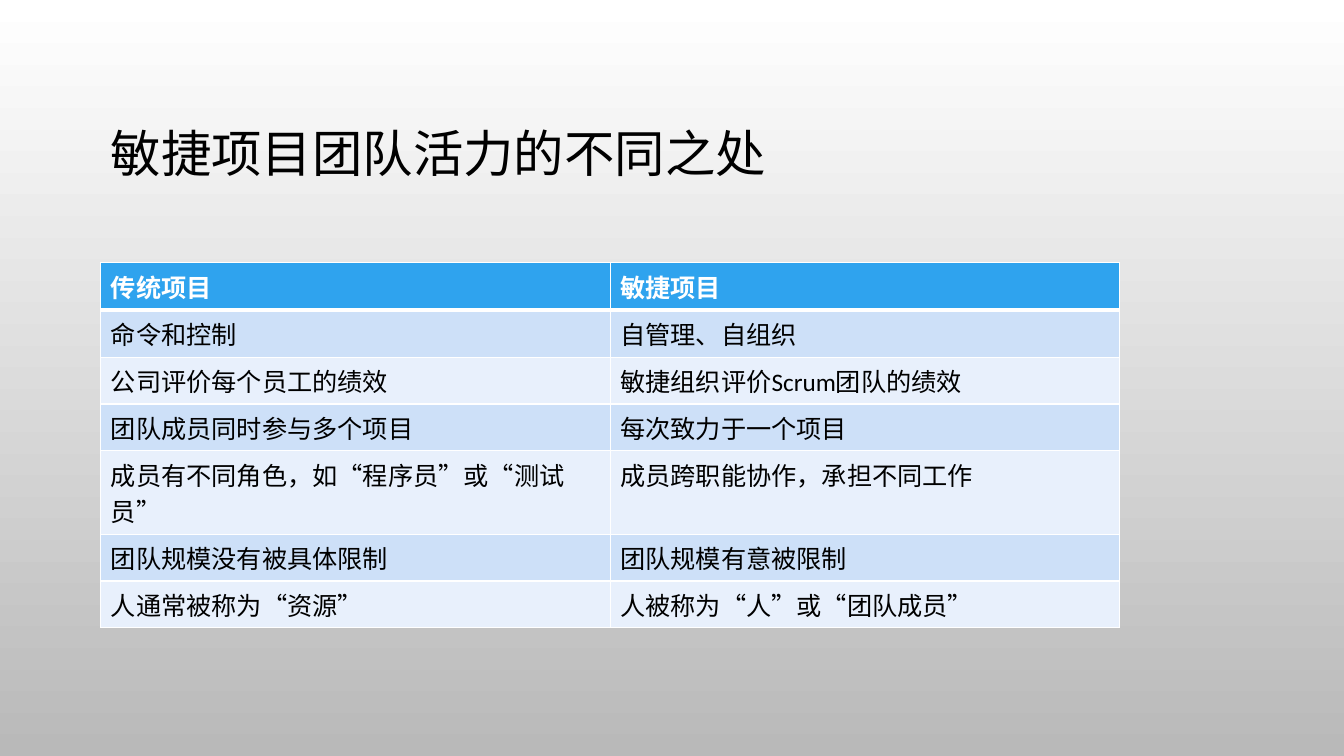
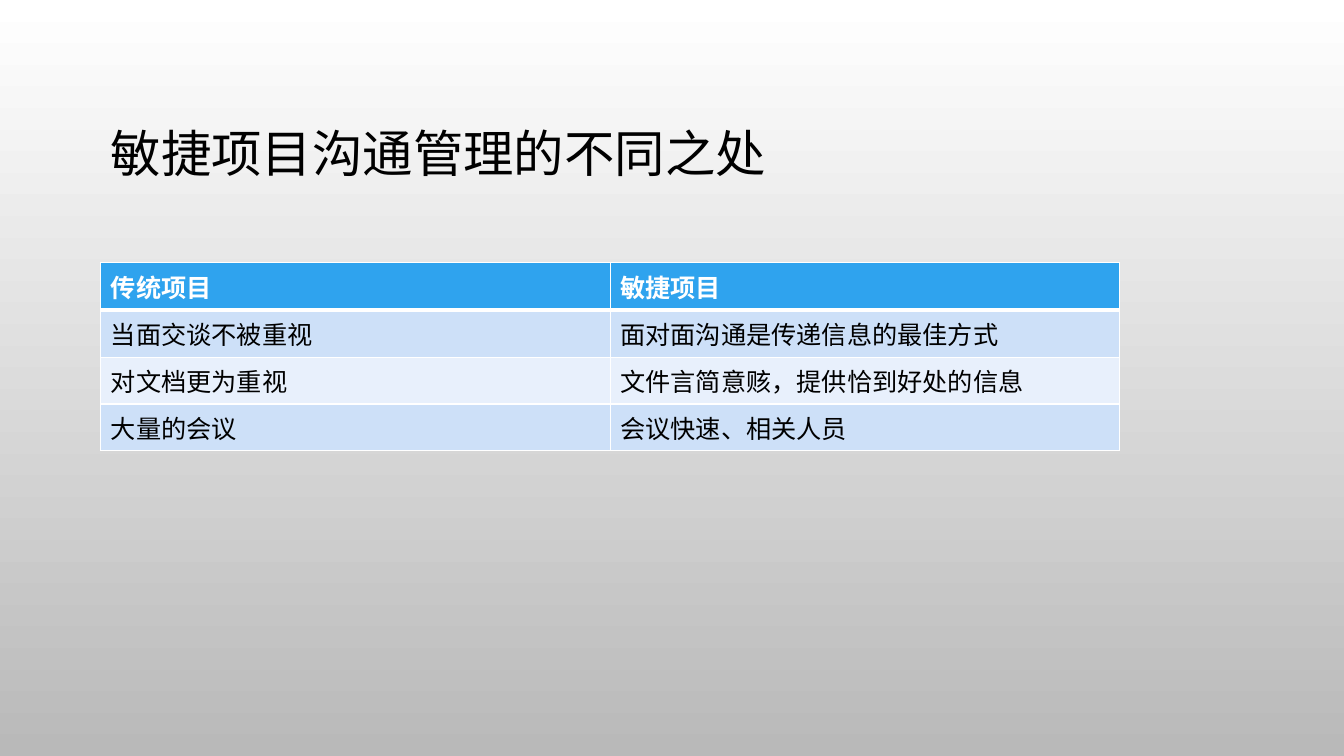
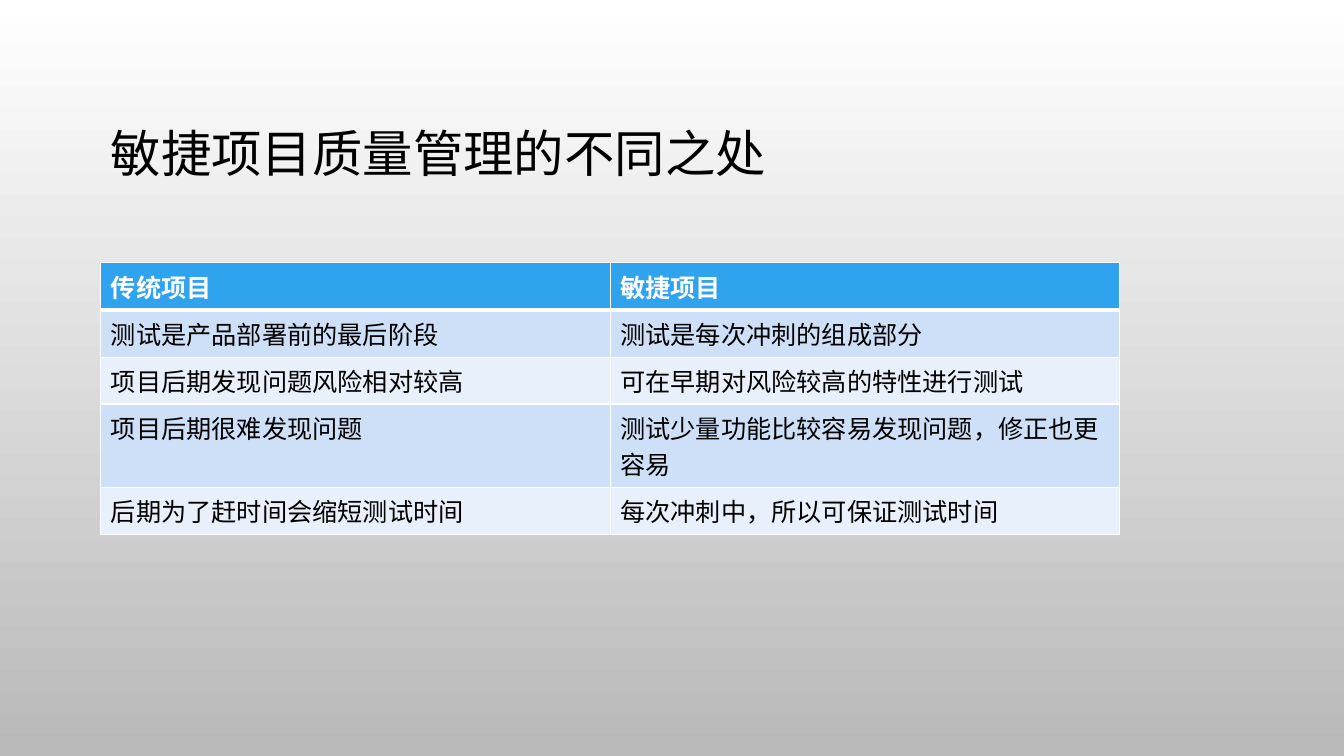
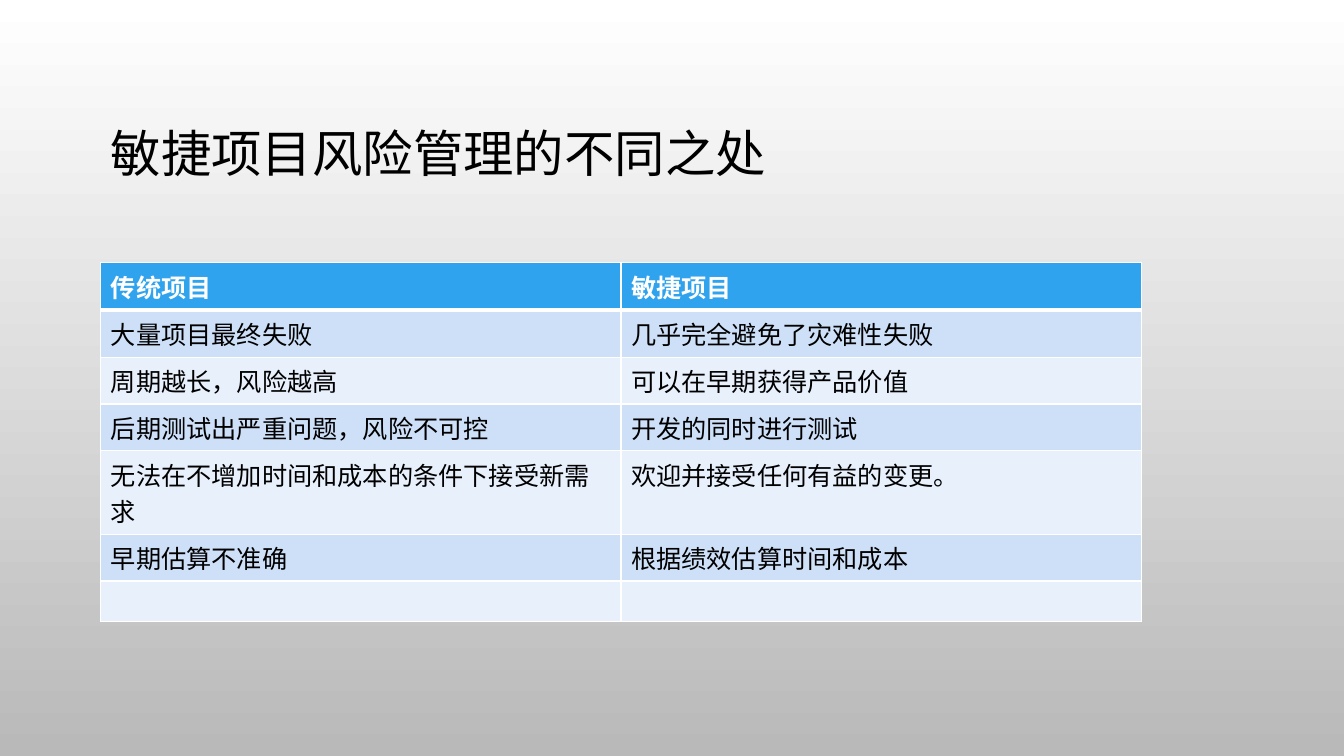
from dataclasses import dataclass

from lxml import etree
from pptx import Presentation
from pptx.dml.color import RGBColor
from pptx.enum.lang import MSO_LANGUAGE_ID
from pptx.enum.text import MSO_ANCHOR
from pptx.oxml.ns import qn
from pptx.util import Cm, Pt

MIDDLE = MSO_ANCHOR.MIDDLE
CHINESE = MSO_LANGUAGE_ID.SIMPLIFIED_CHINESE
BLANK_LAYOUT = 6


@dataclass(frozen=True)
class Theme:
    font: str = "Calibri"
    title_size: int = 36
    table_size: int = 18
    text: str = "000000"
    header_text: str = "FFFFFF"
    header_fill: str = "2FA3EE"
    row_fills: tuple = ("CDE0F8", "E8F0FC")
    border: str = "FFFFFF"
    background: tuple = ("FFFFFF", "B9B9B9")
    thin: int = 1
    thick: int = 3


THEME = Theme()


def write_text(frame, text, size, color=THEME.text, bold=False, spacing=None):
    para = frame.paragraphs[0]
    para.line_spacing = spacing
    span = para.add_run()
    span.text = text
    span.font.name = THEME.font
    span.font.size = Pt(size)
    span.font.bold = bold
    span.font.color.rgb = RGBColor.from_string(color)
    span.font.language_id = CHINESE


def draw_borders(cell, top, bottom):
    properties = cell._tc.get_or_add_tcPr()
    widths = {"L": THEME.thin, "R": THEME.thin, "T": top, "B": bottom}
    for side, width in widths.items():
        line = etree.SubElement(properties, qn(f"a:ln{side}"), w=str(Pt(width)))
        fill = etree.SubElement(line, qn("a:solidFill"))
        etree.SubElement(fill, qn("a:srgbClr"), val=THEME.border)


# Content: title, column width in cm, table rows
HEADER = ("传统项目", "敏捷项目")
SLIDES = [
    ("敏捷项目团队活力的不同之处", 12.84, [
        ("命令和控制", "自管理、自组织"),
        ("公司评价每个员工的绩效", "敏捷组织评价Scrum团队的绩效"),
        ("团队成员同时参与多个项目", "每次致力于一个项目"),
        ("成员有不同角色，如“程序员”或“测试员”", "成员跨职能协作，承担不同工作"),
        ("团队规模没有被具体限制", "团队规模有意被限制"),
        ("人通常被称为“资源”", "人被称为“人”或“团队成员”"),
    ]),
    ("敏捷项目沟通管理的不同之处", 12.84, [
        ("当面交谈不被重视", "面对面沟通是传递信息的最佳方式"),
        ("对文档更为重视", "文件言简意赅，提供恰到好处的信息"),
        ("大量的会议", "会议快速、相关人员"),
    ]),
    ("敏捷项目质量管理的不同之处", 12.84, [
        ("测试是产品部署前的最后阶段", "测试是每次冲刺的组成部分"),
        ("项目后期发现问题风险相对较高", "可在早期对风险较高的特性进行测试"),
        ("项目后期很难发现问题", "测试少量功能比较容易发现问题，修正也更容易"),
        ("后期为了赶时间会缩短测试时间", "每次冲刺中，所以可保证测试时间"),
    ]),
    ("敏捷项目风险管理的不同之处", 13.11, [
        ("大量项目最终失败", "几乎完全避免了灾难性失败"),
        ("周期越长，风险越高", "可以在早期获得产品价值"),
        ("后期测试出严重问题，风险不可控", "开发的同时进行测试"),
        ("无法在不增加时间和成本的条件下接受新需求", "欢迎并接受任何有益的变更。"),
        ("早期估算不准确", "根据绩效估算时间和成本"),
        ("", ""),
    ]),
]

LEFT = Cm(2.54)

# Row heights follow the number of text lines
CHARACTERS_PER_LINE = 19
HEADER_HEIGHT = Cm(1.2)
LINE_HEIGHTS = (Cm(1.03), Cm(1.18), Cm(2.1))

deck = Presentation()
deck.slide_width = Cm(33.87)
deck.slide_height = Cm(19.05)

# Shared background, white at the top to grey at the bottom
backdrop = deck.slide_master.background.fill
backdrop.gradient()
backdrop.gradient_angle = 270
for stop, color in zip(backdrop.gradient_stops, THEME.background):
    stop.color.rgb = RGBColor.from_string(color)

for title, column_width, body in SLIDES:
    page = deck.slides.add_slide(deck.slide_layouts[BLANK_LAYOUT])

    # Title
    box = page.shapes.add_textbox(LEFT, Cm(1.7), Cm(28.78), Cm(4.45))
    box.text_frame.word_wrap = True
    box.text_frame.vertical_anchor = MIDDLE
    write_text(box.text_frame, title, THEME.title_size, spacing=0.9)

    # Comparison table
    rows = [HEADER, *body]
    heights = [HEADER_HEIGHT]
    for texts in body:
        longest = max(len(text) for text in texts)
        line_count = (longest + CHARACTERS_PER_LINE - 1) // CHARACTERS_PER_LINE
        heights.append(LINE_HEIGHTS[line_count])
    table = page.shapes.add_table(
        len(rows), len(HEADER), LEFT, Cm(6.62),
        Cm(column_width * len(HEADER)), sum(heights)).table
    for column in table.columns:
        column.width = Cm(column_width)

    for row_index, texts in enumerate(rows):
        is_header = row_index == 0
        table.rows[row_index].height = heights[row_index]
        fill = THEME.header_fill if is_header else THEME.row_fills[(row_index - 1) % 2]
        for column_index, text in enumerate(texts):
            cell = table.cell(row_index, column_index)
            draw_borders(cell,
                         top=THEME.thick if row_index == 1 else THEME.thin,
                         bottom=THEME.thick if is_header else THEME.thin)
            cell.fill.solid()
            cell.fill.fore_color.rgb = RGBColor.from_string(fill)
            if text:
                write_text(cell.text_frame, text, THEME.table_size, bold=is_header,
                           color=THEME.header_text if is_header else THEME.text)

deck.save("out.pptx")
